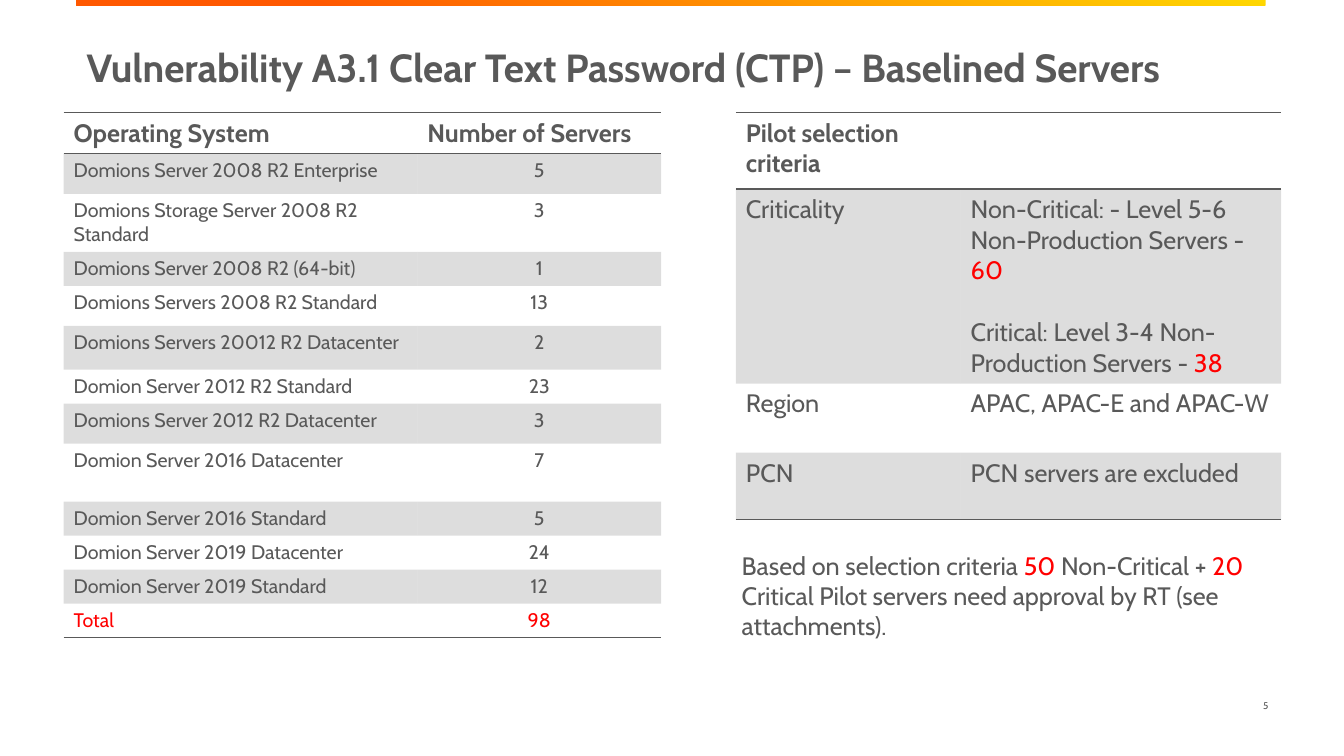
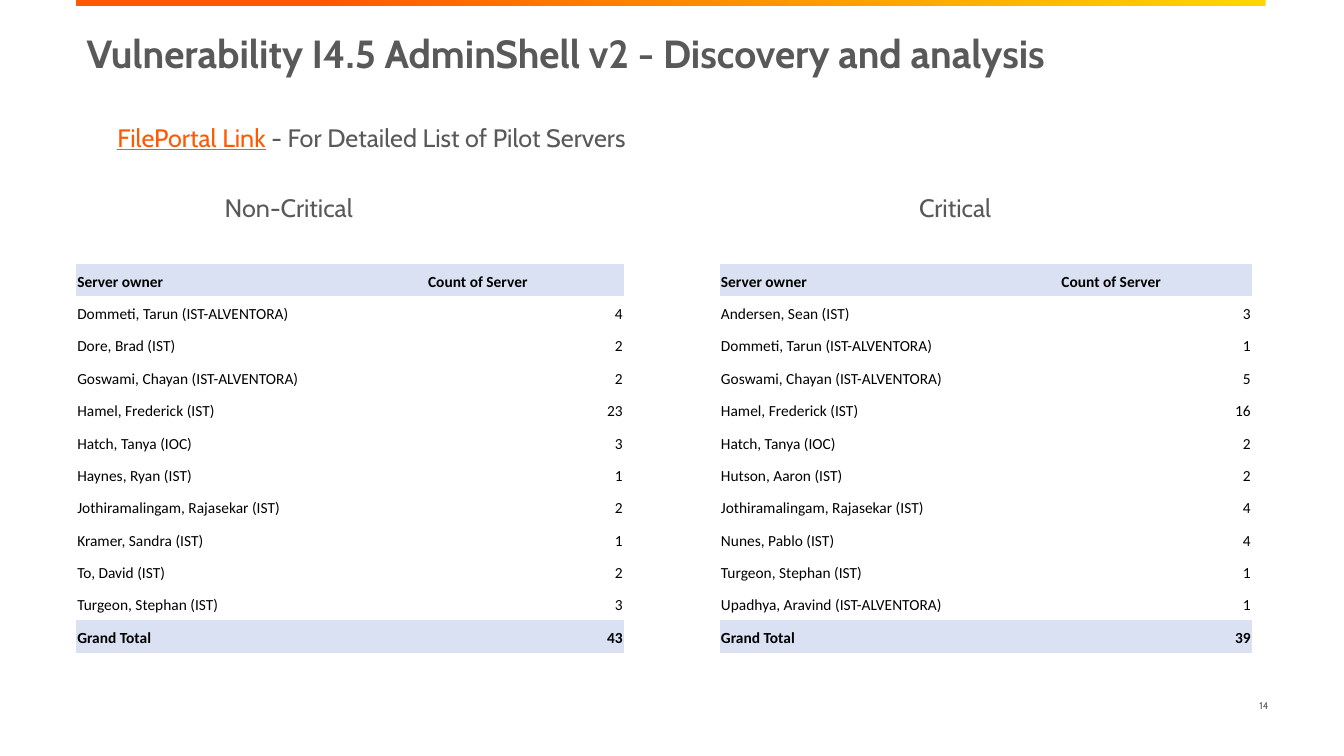
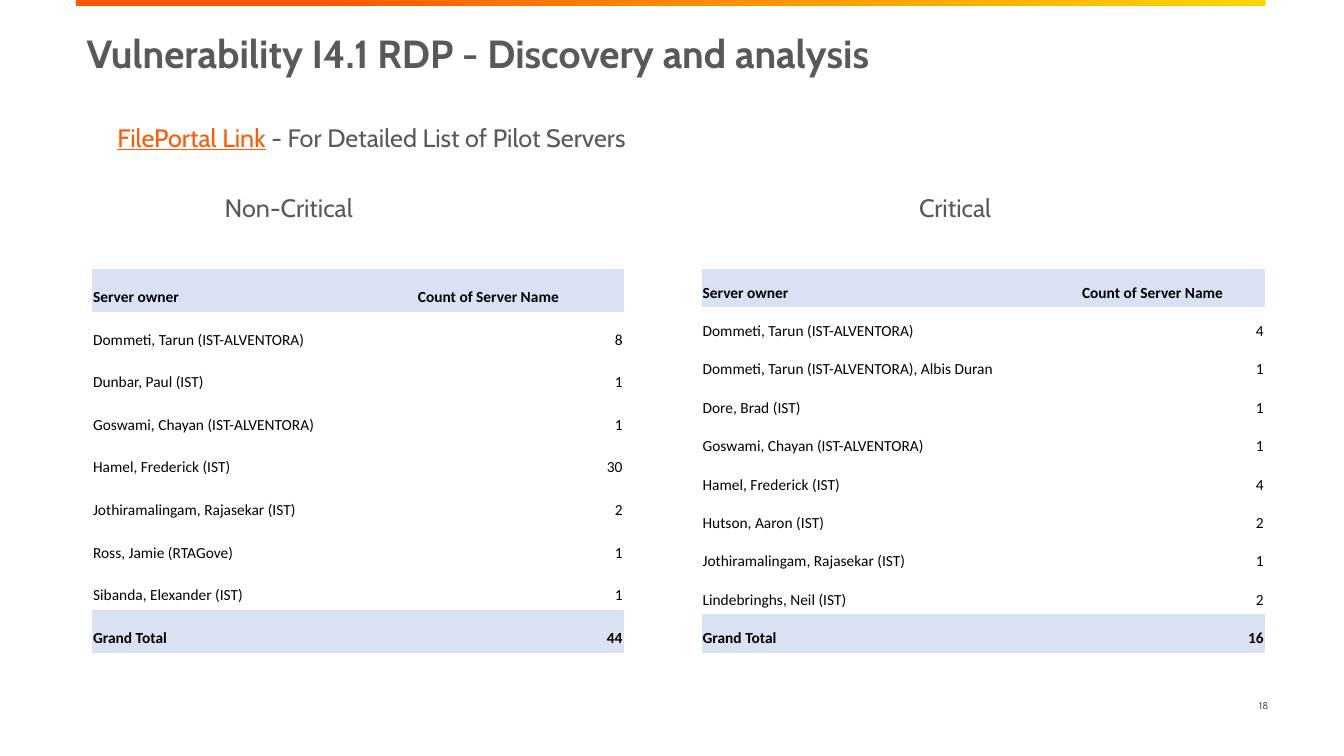
from lxml import etree
from pptx import Presentation
from pptx.dml.color import RGBColor
from pptx.enum.shapes import MSO_SHAPE
from pptx.enum.text import MSO_ANCHOR, PP_ALIGN
from pptx.oxml.ns import qn
from pptx.util import Pt

RECTANGLE = MSO_SHAPE.RECTANGLE
TOP, MIDDLE, BOTTOM = MSO_ANCHOR.TOP, MSO_ANCHOR.MIDDLE, MSO_ANCHOR.BOTTOM
LEFT, CENTER, RIGHT = PP_ALIGN.LEFT, PP_ALIGN.CENTER, PP_ALIGN.RIGHT

COLOURS = {
    "text": "595959",
    "red": "FF0000",
    "orange": "FF5800",
    "yellow": "FFD700",
    "black": "000000",
    "header": "D9E1F2",
}
BODY_FONT = "Cabin"
OWNER_FONT = "Calibri"
PLAIN_TABLE_STYLE = "{2D5ABB26-0587-4C30-8999-92F81FD0307C}"
BAND_ALPHA = 20
OWNER_TABLE_BOTTOM = 466.4

SERVERS = [
    # operating system, number of servers, row height
    ("Domions Server 2008 R2 Enterprise", 5, 28.6),
    ("Domions Storage Server 2008 R2 Standard", 3, 41.4),
    ("Domions Server 2008 R2 (64-bit)", 1, 24.3),
    ("Domions Servers 2008 R2 Standard", 13, 28.6),
    ("Domions Servers 20012 R2 Datacenter", 2, 31.4),
    ("Domion Server 2012 R2 Standard", 23, 24.3),
    ("Domions Server 2012 R2 Datacenter", 3, 28.6),
    ("Domion Server 2016 Datacenter", 7, 41.4),
    ("Domion Server 2016 Standard", 5, 24.3),
    ("Domion Server 2019 Datacenter", 24, 24.3),
    ("Domion Server 2019 Standard", 12, 24.3),
]

SHELL_NON_CRITICAL = [
    ("Dommeti, Tarun (IST-ALVENTORA)", 4),
    ("Dore, Brad (IST)", 2),
    ("Goswami, Chayan (IST-ALVENTORA)", 2),
    ("Hamel, Frederick (IST)", 23),
    ("Hatch, Tanya (IOC)", 3),
    ("Haynes, Ryan (IST)", 1),
    ("Jothiramalingam, Rajasekar (IST)", 2),
    ("Kramer, Sandra (IST)", 1),
    ("To, David (IST)", 2),
    ("Turgeon, Stephan (IST)", 3),
]
SHELL_CRITICAL = [
    ("Andersen, Sean (IST)", 3),
    ("Dommeti, Tarun (IST-ALVENTORA)", 1),
    ("Goswami, Chayan (IST-ALVENTORA)", 5),
    ("Hamel, Frederick (IST)", 16),
    ("Hatch, Tanya (IOC)", 2),
    ("Hutson, Aaron (IST)", 2),
    ("Jothiramalingam, Rajasekar (IST)", 4),
    ("Nunes, Pablo (IST)", 4),
    ("Turgeon, Stephan (IST)", 1),
    ("Upadhya, Aravind (IST-ALVENTORA)", 1),
]
RDP_NON_CRITICAL = [
    ("Dommeti, Tarun (IST-ALVENTORA)", 8),
    ("Dunbar, Paul (IST)", 1),
    ("Goswami, Chayan (IST-ALVENTORA)", 1),
    ("Hamel, Frederick (IST)", 30),
    ("Jothiramalingam, Rajasekar (IST)", 2),
    ("Ross, Jamie (RTAGove)", 1),
    ("Sibanda, Elexander (IST)", 1),
]
RDP_CRITICAL = [
    ("Dommeti, Tarun (IST-ALVENTORA)", 4),
    ("Dommeti, Tarun (IST-ALVENTORA), Albis Duran", 1),
    ("Dore, Brad (IST)", 1),
    ("Goswami, Chayan (IST-ALVENTORA)", 1),
    ("Hamel, Frederick (IST)", 4),
    ("Hutson, Aaron (IST)", 2),
    ("Jothiramalingam, Rajasekar (IST)", 1),
    ("Lindebringhs, Neil (IST)", 2),
]


def rgb(name):
    return RGBColor.from_string(COLOURS[name])


# Text
def write_runs(paragraph, parts, size, font=BODY_FONT, bold=False, align=LEFT):
    """Fill a paragraph with (text, colour name) parts."""
    paragraph.alignment = align
    for text, colour in parts:
        run = paragraph.add_run()
        run.text = text
        run.font.size = Pt(size)
        run.font.name = font
        run.font.bold = bold
        run.font.color.rgb = rgb(colour)


def add_text(slide, box, parts, size, bold=False, align=LEFT, anchor=TOP):
    shape = slide.shapes.add_textbox(*[Pt(length) for length in box])
    frame = shape.text_frame
    frame.word_wrap = True
    frame.vertical_anchor = anchor
    write_runs(frame.paragraphs[0], parts, size, bold=bold, align=align)
    return frame.paragraphs[0]


# Tables
def add_plain_table(slide, left, top, widths, heights):
    frame = slide.shapes.add_table(
        len(heights), len(widths), Pt(left), Pt(top), Pt(sum(widths)), Pt(sum(heights)))
    table = frame.table
    table.first_row = False
    table.horz_banding = False
    table._tbl.tblPr.find(qn("a:tableStyleId")).text = PLAIN_TABLE_STYLE
    for column, width in zip(table.columns, widths):
        column.width = Pt(width)
    for row, height in zip(table.rows, heights):
        row.height = Pt(height)
    return table


def add_border(cell, side):
    line = etree.SubElement(cell._tc.get_or_add_tcPr(), qn("a:" + side), w=str(Pt(1)))
    fill = etree.SubElement(line, qn("a:solidFill"))
    etree.SubElement(fill, qn("a:srgbClr"), val=COLOURS["text"])


def fill_cell(cell, colour, alpha=None):
    cell.fill.solid()
    cell.fill.fore_color.rgb = rgb(colour)
    if alpha:
        colour_element = cell._tc.tcPr.find(qn("a:solidFill")).find(qn("a:srgbClr"))
        etree.SubElement(colour_element, qn("a:alpha"), val=str(alpha * 1000))


def style_ruled_table(table):
    """Rule the header and the last row, and shade every second row."""
    last = len(table.rows) - 1
    for index, row in enumerate(table.rows):
        for cell in row.cells:
            if index == 0:
                add_border(cell, "lnT")
            if index in (0, last):
                add_border(cell, "lnB")
            if index % 2:
                fill_cell(cell, "text", BAND_ALPHA)
            else:
                cell.fill.background()


def add_server_table(slide):
    total = sum(count for _, count, _ in SERVERS)
    rows = SERVERS + [("Total", total, 24.3)]
    table = add_plain_table(
        slide, 45.4, 80.6, [252.7, 174.2], [29.3] + [height for _, _, height in rows])
    style_ruled_table(table)
    for column, heading in enumerate(("Operating System", "Number of Servers")):
        paragraph = table.cell(0, column).text_frame.paragraphs[0]
        write_runs(paragraph, [(heading, "text")], 18, bold=True)
    for index, (system, count, _) in enumerate(rows, 1):
        colour = "red" if system == "Total" else "text"
        for column, (text, align) in enumerate(((system, LEFT), (str(count), CENTER))):
            paragraph = table.cell(index, column).text_frame.paragraphs[0]
            write_runs(paragraph, [(text, colour)], 14, align=align)


def add_criteria_table(slide):
    # Each row: label and the paragraphs beside it
    rows = [
        ("Pilot selection criteria", []),
        ("Criticality", [
            [("Non-Critical: - Level 5-6 Non-Production Servers - ", "text"), ("60", "red")],
            [("Critical: Level 3-4 Non-Production Servers - ", "text"), ("38", "red")],
        ]),
        ("Region", [[("APAC, APAC-E and APAC-W", "text")]]),
        ("PCN", [[("PCN servers are excluded", "text")]]),
    ]
    table = add_plain_table(slide, 525.6, 80.6, [160.6, 229], [54.4, 139, 49.4, 48])
    style_ruled_table(table)
    for index, (label, details) in enumerate(rows):
        paragraph = table.cell(index, 0).text_frame.paragraphs[0]
        write_runs(paragraph, [(label, "text")], 18, bold=index == 0)
        frame = table.cell(index, 1).text_frame
        for position, parts in enumerate(details):
            paragraph = frame.add_paragraph() if position else frame.paragraphs[0]
            if position:
                paragraph.space_before = Pt(22)
            write_runs(paragraph, parts, 18)


def add_owner_table(slide, left, top, widths, count_heading, owners):
    total = sum(count for _, count in owners)
    rows = [("Server owner", count_heading), *owners, ("Grand Total", total)]
    height = (OWNER_TABLE_BOTTOM - top) / len(rows)
    table = add_plain_table(slide, left, top, widths, [height] * len(rows))
    for index, values in enumerate(rows):
        emphasised = index in (0, len(rows) - 1)
        for column, value in enumerate(values):
            cell = table.cell(index, column)
            cell.margin_left = cell.margin_top = cell.margin_right = Pt(0.7)
            cell.margin_bottom = Pt(3.6)
            cell.vertical_anchor = BOTTOM
            if emphasised:
                fill_cell(cell, "header")
            else:
                cell.fill.background()
            write_runs(cell.text_frame.paragraphs[0], [(str(value), "black")], 11,
                       OWNER_FONT, emphasised, RIGHT if index and column else LEFT)


# Slides
def add_base_slide(presentation, title, number, title_top):
    """Add a slide with the gradient band, title and slide number."""
    slide = presentation.slides.add_slide(presentation.slide_layouts[6])
    band = slide.shapes.add_shape(RECTANGLE, Pt(54.5), Pt(0), Pt(849.6), Pt(3.8))
    band.shadow.inherit = False
    band.line.fill.background()
    band.fill.gradient()
    band.fill.gradient_angle = 250
    stops = (("yellow", 0), ("orange", 0.8))
    for stop, (colour, position) in zip(band.fill.gradient_stops, stops):
        stop.color.rgb = rgb(colour)
        stop.position = position
    heading = add_text(slide, (54.7, title_top, 849, 52.6), [(title, "text")], 28, bold=True)
    heading.line_spacing = 0.9
    add_text(slide, (878.4, 489.6, 34.6, 28.8), [(str(number), "text")], 7,
             align=RIGHT, anchor=MIDDLE)
    return slide


def add_baseline_slide(presentation):
    slide = add_base_slide(
        presentation, "Vulnerability A3.1 Clear Text Password (CTP) – Baselined Servers", 5, 31)
    add_server_table(slide)
    add_criteria_table(slide)
    add_text(slide, (522.7, 389.5, 395.3, 72.7), [
        ("Based on selection criteria ", "text"),
        ("50", "red"),
        (" Non-Critical + ", "text"),
        ("20", "red"),
        (" Critical Pilot servers need approval by RT (see attachments).", "text"),
    ], 18)


def add_discovery_slide(presentation, title, number, top, count_heading, tables):
    slide = add_base_slide(presentation, title, number, 20.9)
    paragraph = add_text(slide, (76.8, 83.5, 545, 28.8), [
        ("FilePortal Link", "orange"),
        (" - For Detailed List of Pilot Servers", "text"),
    ], 18)
    paragraph.runs[0].font.underline = True
    for label, left in (("Non-Critical", 153.4), ("Critical", 649.4)):
        add_text(slide, (left, 133.9, 123, 28.8), [(label, "text")], 18)
    for left, widths, owners in tables:
        add_owner_table(slide, left, top, widths, count_heading, owners)


def main():
    presentation = Presentation()
    presentation.slide_width = Pt(960)
    presentation.slide_height = Pt(540)
    add_baseline_slide(presentation)
    add_discovery_slide(
        presentation, "Vulnerability I4.5 AdminShell v2 - Discovery and analysis", 14,
        188.6, "Count of Server", [
            (54.5, [250.6, 140.4], SHELL_NON_CRITICAL),
            (514.3, [243.2, 136.6], SHELL_CRITICAL),
        ])
    add_discovery_slide(
        presentation, "Vulnerability I4.1 RDP - Discovery and analysis", 18,
        192.2, "Count of Server Name", [
            (65.8, [232, 147.6], RDP_NON_CRITICAL),
            (501.2, [271, 131.2], RDP_CRITICAL),
        ])
    presentation.save("out.pptx")


if __name__ == "__main__":
    main()
